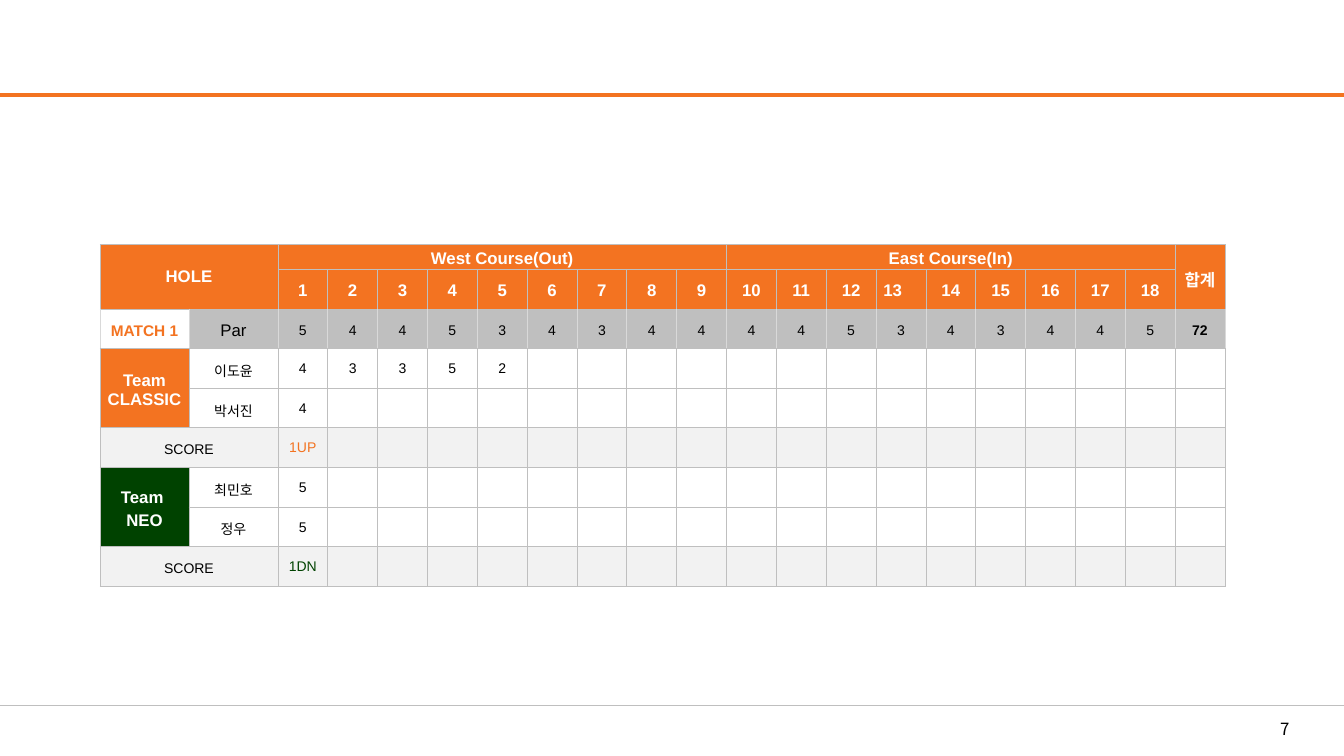
from lxml.etree import SubElement
from pptx import Presentation
from pptx.dml.color import RGBColor
from pptx.enum.shapes import MSO_CONNECTOR
from pptx.enum.text import MSO_ANCHOR, PP_ALIGN
from pptx.oxml.ns import qn
from pptx.util import Pt

ORANGE, GREEN, GRAY, SILVER = "F37321", "004200", "BFBFBF", "D9D9D9"
PALE, WHITE, BLACK = "F2F2F2", "FFFFFF", "000000"
FONT, KOREAN = "Arial", "Noto Sans CJK KR"
HOLES = 18
TOTAL = HOLES + 2
PARS = [5, 4, 4, 5, 3, 4, 3, 4, 4, 4, 4, 5, 3, 4, 3, 4, 4, 5]
TEAMS = [
    ("Team CLASSIC", ORANGE, [("이도윤", [4, 3, 3, 5, 2]), ("박서진", [4])], "1UP"),
    ("Team \nNEO", GREEN, [("최민호", [5]), ("정우", [5])], "1DN"),
]


def rgb(color):
    return RGBColor.from_string(color)


def style_run(r, size, color, bold=False, font=FONT):
    r.font.name, r.font.size, r.font.bold = font, Pt(size), bold
    r.font.color.rgb = rgb(color)
    SubElement(r.font._element, qn("a:ea"), typeface=KOREAN)


def set_borders(cell, side_color):
    tc_pr = cell._tc.get_or_add_tcPr()
    for side, color in zip("LRTB", [side_color] * 2 + [GRAY] * 2):
        ln = SubElement(tc_pr, qn(f"a:ln{side}"), w=str(Pt(0.5)))
        SubElement(SubElement(ln, qn("a:solidFill")), qn("a:srgbClr"), val=color)


def write(cell, text, size=10, color=BLACK, bold=False, top=2.9, before=3):
    cell.margin_top = Pt(top)
    cell.text_frame.text = str(text)
    for p in cell.text_frame.paragraphs:
        p.alignment = PP_ALIGN.CENTER
        p.space_before = Pt(before)
        for r in p.runs:
            style_run(r, size, color, bold)


def paint(cell, color):
    cell.fill.solid()
    cell.fill.fore_color.rgb = rgb(color)


def add_header(tbl):
    spans = [("HOLE", 0, 1, 1), ("West Course(Out)", 2, 0, 10),
             ("East Course(In)", 11, 0, 19), ("합계", TOTAL, 1, TOTAL)]
    for text, left, bottom, right in spans:
        tbl.cell(0, left).merge(tbl.cell(bottom, right))
        write(tbl.cell(0, left), text, 12, WHITE, True)
    write(tbl.cell(0, 0), "HOLE", 12, WHITE, True, 0, 0)
    for hole in range(1, HOLES + 1):
        write(tbl.cell(1, hole + 1), hole, 12, WHITE, True)
    thirteen = tbl.cell(1, 14)
    thirteen.margin_right = Pt(17)
    thirteen.text_frame.paragraphs[0].alignment = PP_ALIGN.RIGHT


def add_par_row(tbl):
    write(tbl.cell(2, 0), "MATCH 1", 11, ORANGE, True)
    write(tbl.cell(2, 1), "Par", 12)
    for c, par in enumerate(PARS, 2):
        write(tbl.cell(2, c), par)
    write(tbl.cell(2, TOTAL), sum(PARS), bold=True)
    paint(tbl.cell(2, 0), WHITE)


def add_team(tbl, top, name, color, players, score):
    tbl.cell(top, 0).merge(tbl.cell(top + 1, 0))
    write(tbl.cell(top, 0), name, 12, WHITE, True)
    for i, (player, strokes) in enumerate(players):
        paint(tbl.cell(top + i, 0), color)
        write(tbl.cell(top + i, 1), player)
        for c, stroke in enumerate(strokes, 2):
            write(tbl.cell(top + i, c), stroke, top=0.7, before=0)
    last = top + len(players)
    tbl.cell(last, 0).merge(tbl.cell(last, 1))
    write(tbl.cell(last, 0), "SCORE")
    write(tbl.cell(last, 2), score, color=color, top=0.7, before=0)


def add_scorecard(s, left, top, width, height):
    fills = [ORANGE, ORANGE, GRAY] + [WHITE, WHITE, PALE] * len(TEAMS)
    tbl = s.shapes.add_table(len(fills), TOTAL + 1, Pt(left), Pt(top),
                             Pt(width), Pt(height)).table
    label, first = 63.5, 17.5
    for c, col in enumerate(tbl.columns):
        col.width = Pt(label if c < 2 else (width - 2 * label) / (HOLES + 1))
    for i, row in enumerate(tbl.rows):
        row.height = Pt((height - first) / (len(fills) - 1) if i else first)
        for cell in row.cells:
            cell.margin_left = cell.margin_right = cell.margin_top = cell.margin_bottom = 0
            cell.vertical_anchor = MSO_ANCHOR.MIDDLE
            set_borders(cell, SILVER if i == 2 else GRAY)
            paint(cell, fills[i])
    add_header(tbl)
    add_par_row(tbl)
    for i, team in enumerate(TEAMS):
        add_team(tbl, 3 + 3 * i, *team)


def add_rule(s, left, top, width, color, weight):
    line = s.shapes.add_connector(MSO_CONNECTOR.STRAIGHT, Pt(left), Pt(top),
                                  Pt(left + width), Pt(top))
    line.line.color.rgb = rgb(color)
    line.line.width = Pt(weight)
    SubElement(line._element.spPr, qn("a:effectLst"))


def add_page_number(s, left, top, width, height):
    tf = s.shapes.add_textbox(Pt(left), Pt(top), Pt(width), Pt(height)).text_frame
    tf.margin_left = tf.margin_right = Pt(9.4)
    tf.margin_top = tf.margin_bottom = Pt(4.3)
    tf.text = "7"
    style_run(tf.paragraphs[0].runs[0], 12, BLACK, font=KOREAN)


def main():
    prs = Presentation()
    prs.slide_width, prs.slide_height = Pt(960), Pt(540)
    s = prs.slides.add_slide(prs.slide_layouts[6])
    add_page_number(s, 905, 509, 34, 24)
    add_rule(s, 0, 67.7, 960, ORANGE, 3)
    add_rule(s, 0, 504, 960, GRAY, 0.75)
    add_scorecard(s, 71.5, 174.8, 803.5, 244.2)
    prs.save("out.pptx")


if __name__ == "__main__":
    main()
